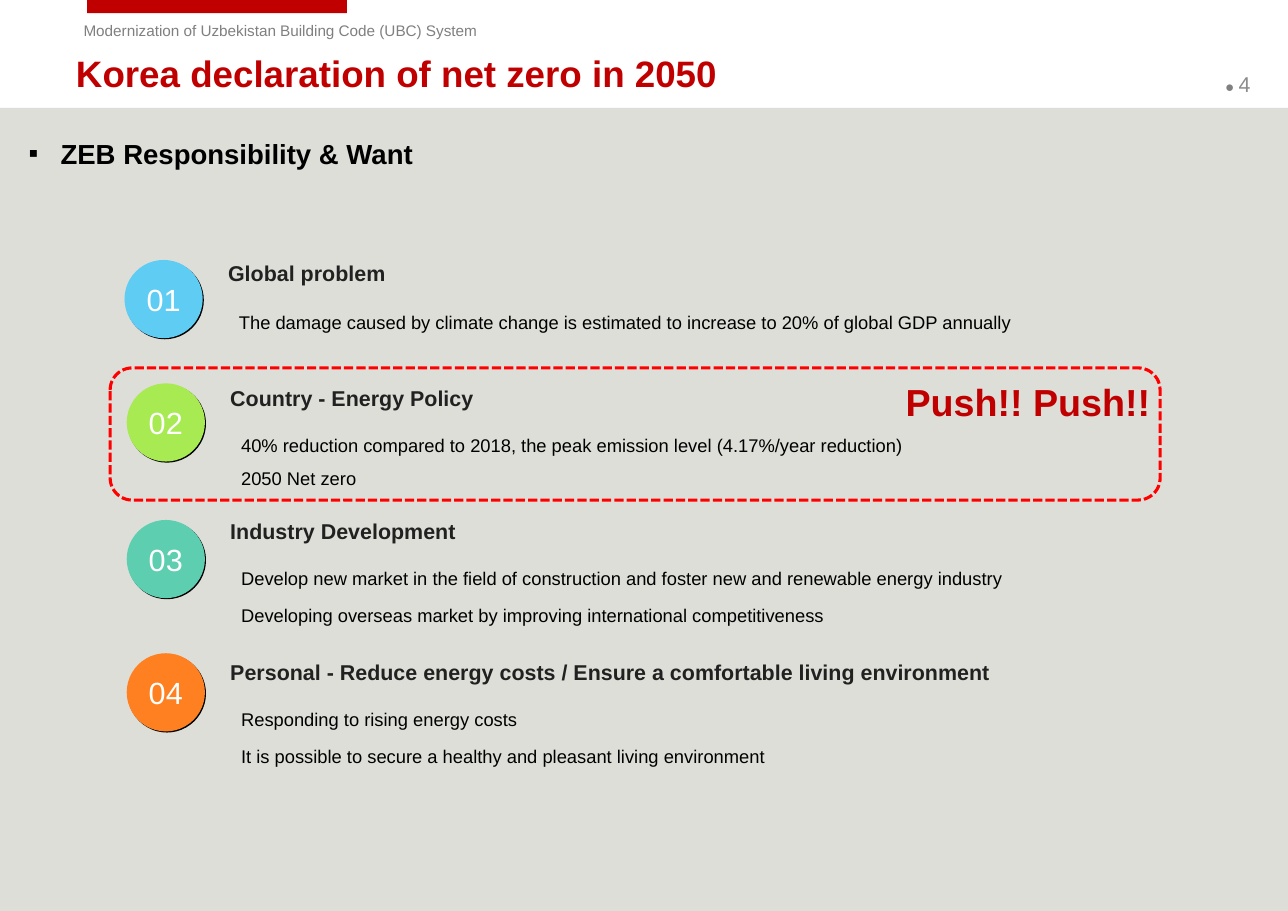
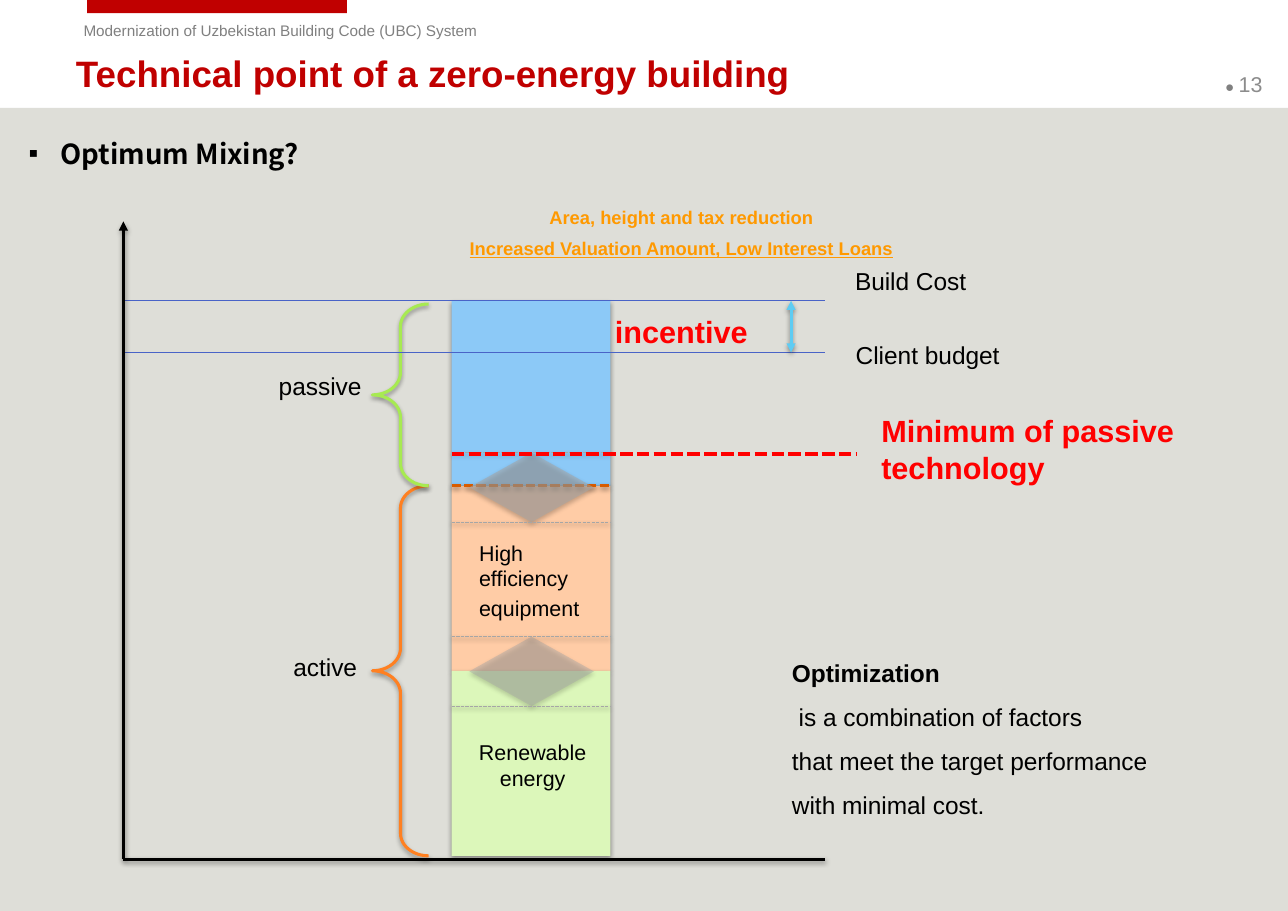
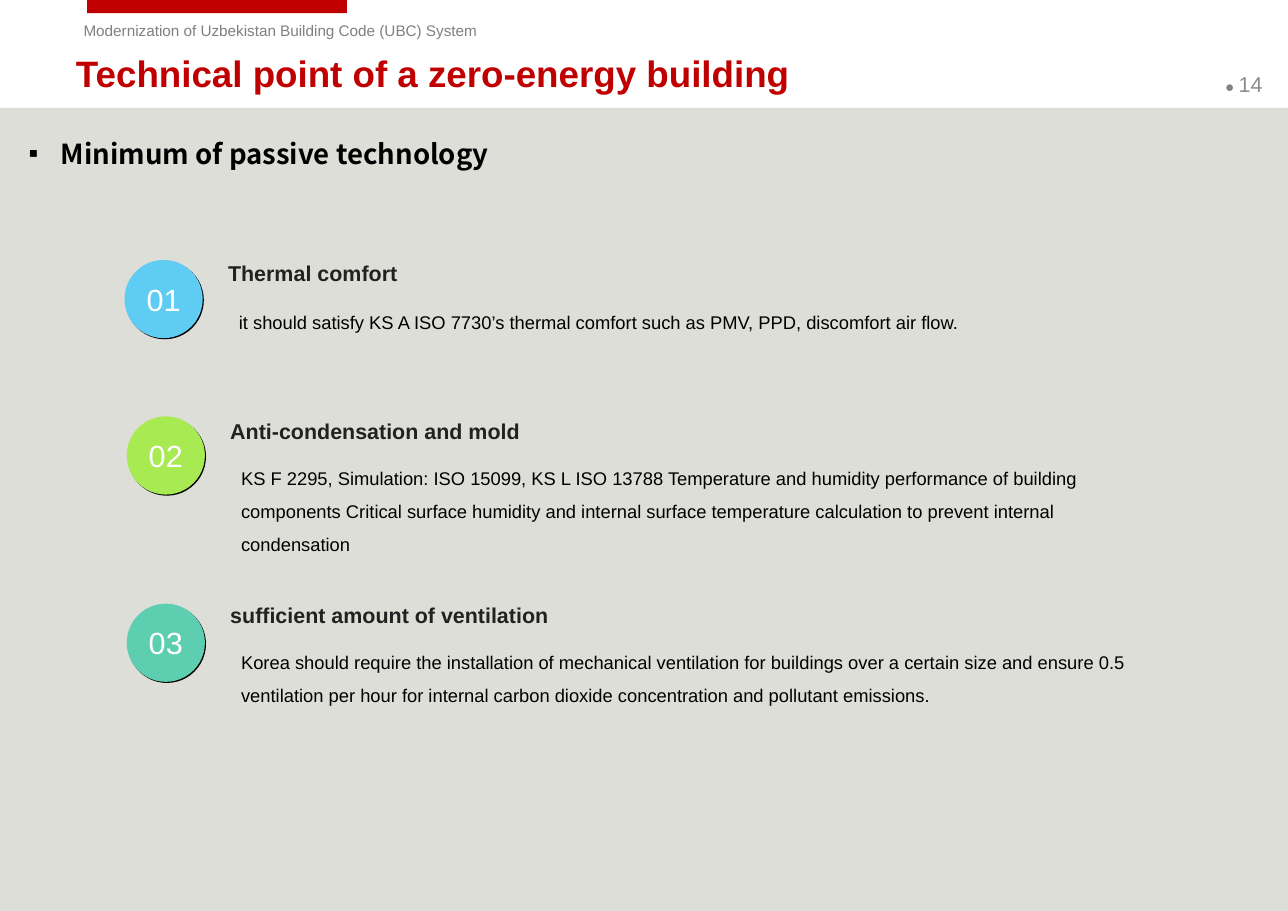
import dataclasses
import typing

import lxml.etree
import pptx
import pptx.dml.color
import pptx.enum.dml
import pptx.enum.shapes
import pptx.enum.text
import pptx.oxml.ns
import pptx.util

UNIT = pptx.util.Inches(0.1)
COLUMNS, ROWS = 116.9, 82.7
FONT = "Arial"
COLORS = {
    "backdrop": "DEDED8", "brand": "C00000", "muted": "808080", "page": "8C8C8C",
    "black": "000000", "white": "FFFFFF", "heading": "212121", "alert": "FF0000",
    "sky": "5ECCF3", "lime": "A7EA52", "mint": "5DCEAF", "orange": "FF8021",
    "passive": "8CC9F7", "equipment": "FFCCA6", "renewable": "DCF7BA",
    "limit": "4963C7", "boundary": "D85C00", "gray": "A6A6A6", "benefit": "FF9900",
}
BADGE_COLORS = ("sky", "lime", "mint", "orange")
SHAPES = pptx.enum.shapes.MSO_SHAPE
ALIGN = pptx.enum.text.PP_ALIGN
ANCHOR = pptx.enum.text.MSO_ANCHOR
PLACEHOLDER_INSETS = (1.1, 0.6)


class Box(typing.NamedTuple):
    left: float
    top: float
    width: float
    height: float


@dataclasses.dataclass(frozen=True)
class Topic:
    heading: str
    details: tuple[str, ...]
    badge_top: float
    heading_top: float
    left: float = 11.5
    detail_gap: float = 3
    spacing: float = 1.5


@dataclasses.dataclass(frozen=True)
class Caption:
    lines: tuple[str, ...]
    box: Box
    style: dict[str, typing.Any]


def grid(*lengths: float) -> list[int]:
    return [round(length * UNIT) for length in lengths]


def rgb(color: str) -> pptx.dml.color.RGBColor:
    return pptx.dml.color.RGBColor.from_string(COLORS[color])


def add_element(parent, tag: str, **attributes: str):
    return lxml.etree.SubElement(parent, pptx.oxml.ns.qn(tag), attributes)


def add_run(paragraph, text: str, size: float, color: str, bold: bool = False,
            font: str = FONT, underline: bool = False) -> None:
    run = paragraph.add_run()
    run.text = text
    run.font.size = pptx.util.Pt(size)
    run.font.name = font
    run.font.bold = bold
    run.font.underline = underline
    run.font.color.rgb = rgb(color)


def write(shape, *paragraphs: str, size: float, color: str = "black",
          align=ALIGN.LEFT, anchor=ANCHOR.TOP, insets: tuple[float, float] = (1, 0.5),
          wrap: bool = True, spacing: float = 1, before: float = 0,
          bullet: str = "", **run_style):
    frame = shape.text_frame
    frame.word_wrap = wrap
    frame.auto_size = pptx.enum.text.MSO_AUTO_SIZE.NONE
    frame.vertical_anchor = anchor
    across, down = grid(*insets)
    frame.margin_left = frame.margin_right = across
    frame.margin_top = frame.margin_bottom = down
    for index, text in enumerate(paragraphs):
        paragraph = frame.add_paragraph() if index else frame.paragraphs[0]
        paragraph.alignment = align
        paragraph.line_spacing = spacing
        if index and before:
            paragraph.space_before = pptx.util.Pt(size * before)
        if bullet:
            properties = paragraph._p.get_or_add_pPr()
            indent = grid(2.9)[0]
            properties.set("marL", str(indent))
            properties.set("indent", str(-indent))
            add_element(properties, "a:buFont", typeface=FONT)
            add_element(properties, "a:buChar", char=bullet)
        for number, line in enumerate(text.split("\n")):
            if number:
                paragraph.add_line_break()
            add_run(paragraph, line, size, color, **run_style)
    return frame


def add_label(slide, box: Box, *paragraphs: str, **style):
    return write(slide.shapes.add_textbox(*grid(*box)), *paragraphs, **style)


def cast_shadow(effects) -> None:
    shadow = add_element(effects, "a:outerShdw", blurRad=str(pptx.util.Pt(3.1)),
                         dist=str(pptx.util.Pt(1.6)), dir="5400000", rotWithShape="0")
    tint = add_element(shadow, "a:srgbClr", val=COLORS["black"])
    add_element(tint, "a:alpha", val="38000")


def style_line(line, color: str, width: float, dashed: bool = False) -> None:
    line.color.rgb = rgb(color)
    line.width = pptx.util.Pt(width)
    if dashed:
        line.dash_style = pptx.enum.dml.MSO_LINE.SQUARE_DOT


def add_figure(slide, kind, box: Box, fill: str = "", opacity: int = 100,
               outline: str = "", dashed: bool = False, shadow: bool = False,
               adjustments: tuple[float, ...] = ()):
    figure = slide.shapes.add_shape(kind, *grid(*box))
    for index, value in enumerate(adjustments):
        figure.adjustments[index] = value
    properties = figure.element.spPr
    if fill:
        figure.fill.solid()
        figure.fill.fore_color.rgb = rgb(fill)
        if opacity < 100:
            tint = properties.find(".//" + pptx.oxml.ns.qn("a:srgbClr"))
            add_element(tint, "a:alpha", val=str(opacity * 1000))
    else:
        figure.fill.background()
    if outline:
        style_line(figure.line, outline, 2, dashed)
    else:
        figure.line.fill.background()
    figure.shadow.inherit = False
    if shadow:
        cast_shadow(properties.find(pptx.oxml.ns.qn("a:effectLst")))
    return figure


def add_rule(slide, start: tuple[float, float], end: tuple[float, float], color: str,
             width: float, dashed: bool = False, arrows: tuple[str, ...] = (),
             shadow: bool = True) -> None:
    rule = slide.shapes.add_connector(pptx.enum.shapes.MSO_CONNECTOR.STRAIGHT,
                                      *grid(*start, *end))
    style_line(rule.line, color, width, dashed)
    properties = rule.element.spPr
    stroke = properties.find(pptx.oxml.ns.qn("a:ln"))
    for arrow in arrows:
        add_element(stroke, arrow, type="triangle")
    effects = add_element(properties, "a:effectLst")
    if shadow:
        cast_shadow(effects)


def add_page(deck, title: str, subtitle: str, page: int, subtitle_font: str):
    slide = deck.slides.add_slide(deck.slide_layouts.get_by_name("Title Only"))
    heading = slide.shapes.title
    heading.left, heading.top, heading.width, heading.height = grid(5.8, 4.65, 104.2, 4)
    write(heading, title, size=24, color="brand", bold=True,
          anchor=ANCHOR.MIDDLE, insets=PLACEHOLDER_INSETS)
    add_figure(slide, SHAPES.RECTANGLE, Box(0, 9.8, COLUMNS, ROWS - 9.8), "backdrop")
    add_figure(slide, SHAPES.RECTANGLE, Box(7.9, 0, 23.6, 1.2), "brand")
    add_label(slide, Box(6.6, 1.4, 46.8, 2.7),
              "Modernization of Uzbekistan Building Code (UBC) System",
              size=10, color="muted")
    footer = add_label(slide, Box(110.1, 5.4, 6.9, 4.4), "● ", size=10, color="muted",
                       anchor=ANCHOR.MIDDLE, insets=PLACEHOLDER_INSETS)
    add_run(footer.paragraphs[0], str(page), 14, "page")
    add_label(slide, Box(1.5, 11.8, 113.8, 6.1), subtitle, size=18, bold=True,
              font=subtitle_font, bullet="▪", insets=PLACEHOLDER_INSETS)
    return slide


def add_topics(slide, topics: tuple[Topic, ...]) -> None:
    diameter, offset = 7.1, 0.1
    for number, (topic, color) in enumerate(zip(topics, BADGE_COLORS), 1):
        add_figure(slide, SHAPES.OVAL, Box(topic.left + offset, topic.badge_top + offset,
                                           diameter, diameter), "black")
        badge = add_figure(slide, SHAPES.OVAL,
                           Box(topic.left, topic.badge_top, diameter, diameter), color)
        write(badge, f"{number:02}", size=20, color="white", align=ALIGN.CENTER,
              anchor=ANCHOR.MIDDLE, insets=(0, 0.5))
        text_left = topic.left + 9.4
        add_label(slide, Box(text_left, topic.heading_top, 70, 2.4), topic.heading,
                  size=14, color="heading", bold=True, anchor=ANCHOR.MIDDLE,
                  insets=(0, 0), wrap=False)
        add_label(slide, Box(text_left, topic.heading_top + topic.detail_gap, 84, 6.5),
                  *topic.details, size=12, spacing=topic.spacing, before=0.2)


def add_declaration(deck) -> None:
    slide = add_page(deck, "Korea declaration of net zero in 2050",
                     "ZEB Responsibility & Want", 4, FONT)
    add_topics(slide, (
        Topic("Global problem",
              ("The damage caused by climate change is estimated to increase to 20% of "
               "global GDP annually",), 23.6, 23.6, 11.3, 4.2, 1),
        Topic("Country - Energy Policy",
              ("40% reduction compared to 2018, the peak emission level "
               "(4.17%/year reduction)\n2050 Net zero",), 34.8, 34.9),
        Topic("Industry Development",
              ("Develop new market in the field of construction and foster new and "
               "renewable energy industry",
               "Developing overseas market by improving international competitiveness"),
              47.2, 47),
        Topic("Personal - Reduce energy costs / Ensure a comfortable living environment",
              ("Responding to rising energy costs",
               "It is possible to secure a healthy and pleasant living environment"),
              59.3, 59.8),
    ))
    add_figure(slide, SHAPES.ROUNDED_RECTANGLE, Box(10, 33.4, 95.3, 12),
               outline="alert", dashed=True)
    add_label(slide, Box(82.2, 34.4, 22.4, 4.1), "Push!! Push!!", size=24.6,
              color="brand", bold=True, anchor=ANCHOR.MIDDLE, insets=(0, 0), wrap=False)


def add_mixing(deck) -> None:
    slide = add_page(deck, "Technical point of a zero-energy building",
                     "Optimum Mixing?", 13, "Noto Sans CJK KR")
    axis_left, axis_right, axis_bottom = 11.2, 74.9, 78
    bar_left, bar_width, build_cost, segment = 41, 14.4, 27.3, 16.8
    bar_right = bar_left + bar_width
    client_budget, passive_minimum = 32, 41.2
    passive_end = build_cost + segment

    add_rule(slide, (axis_left, axis_bottom), (axis_right, axis_bottom), "black", 2)
    for index, part in enumerate(("passive", "equipment", "renewable")):
        add_figure(slide, SHAPES.RECTANGLE,
                   Box(bar_left, build_cost + index * segment, bar_width, segment),
                   part, shadow=True)
    for top, height, color in ((passive_end, 2 * segment, "orange"),
                               (build_cost + 0.3, segment - 0.3, "lime")):
        add_figure(slide, SHAPES.LEFT_BRACE, Box(33.8, top, 5.1, height), outline=color,
                   shadow=True, adjustments=(0.4, 0.5))
    for level in (build_cost, client_budget):
        add_rule(slide, (axis_left, level), (axis_right, level), "limit", 0.75,
                 shadow=False)
    add_rule(slide, (axis_left, 20.1), (axis_left, axis_bottom), "black", 2,
             arrows=("a:headEnd",))
    add_rule(slide, (71.8, build_cost), (71.8, client_budget), "sky", 2,
             arrows=("a:headEnd", "a:tailEnd"))
    add_rule(slide, (bar_left, passive_end), (bar_right, passive_end), "boundary", 2,
             dashed=True)
    swing = 6.3
    for top, opacity in ((41.1, 57), (57.8, 44)):
        add_figure(slide, SHAPES.UP_DOWN_ARROW, Box(42.6, top, 11.3, swing), "gray",
                   opacity, shadow=True, adjustments=(0.51, 0.39))
        for level in (top, top + swing):
            add_rule(slide, (bar_left, level), (bar_right, level), "gray", 0.75,
                     dashed=True)
    add_rule(slide, (bar_left, passive_minimum), (77.8, passive_minimum), "alert", 2.75,
             dashed=True, shadow=False)

    side = {"size": 16, "align": ALIGN.RIGHT}
    limit = {"size": 16, "align": ALIGN.CENTER}
    alert = {"size": 20, "color": "alert", "bold": True}
    benefit = {"size": 12, "color": "benefit", "bold": True, "align": ALIGN.CENTER}
    captions = (
        Caption(("passive",), Box(14.3, 33.2, 19.5, 3.7), side),
        Caption(("active",), Box(13.9, 58.7, 19.5, 3.7), side),
        Caption(("Minimum of passive technology",), Box(79, 36.9, 31.8, 7.7), alert),
        Caption(("Renewable", "energy"), Box(41.1, 66.6, 14.5, 5.7),
                {"size": 14, "align": ALIGN.CENTER}),
        Caption(("High efficiency", "equipment"), Box(42.5, 48.5, 12.4, 8.5),
                {"size": 14, "before": 0.2}),
        Caption(("Build Cost",), Box(72.9, 23.7, 19.5, 3.7), limit),
        Caption(("incentive",), Box(53.8, 27.9, 16.1, 4.4),
                alert | {"align": ALIGN.CENTER}),
        Caption(("Client budget",), Box(71.8, 30.4, 24.8, 3.7), limit),
        Caption(("Area, height and tax reduction",), Box(36.4, 18.2, 50.9, 3), benefit),
        Caption(("Increased Valuation Amount, Low Interest Loans",),
                Box(36.4, 21, 50.9, 3), benefit | {"underline": True}),
    )
    for caption in captions:
        add_label(slide, caption.box, *caption.lines, **caption.style)
    summary = add_label(slide, Box(70.9, 57.9, 45, 16.7), "Optimization",
                        " is a combination of factors", "that meet the target performance",
                        "with minimal cost.", size=16, spacing=1.5)
    summary.paragraphs[0].runs[0].font.bold = True


def add_minimum(deck) -> None:
    slide = add_page(deck, "Technical point of a zero-energy building",
                     "Minimum of passive technology", 14, "Noto Sans CJK KR")
    add_topics(slide, (
        Topic("Thermal comfort",
              ("it should satisfy KS A ISO 7730’s thermal comfort such as PMV, PPD, "
               "discomfort air flow.",), 23.6, 23.6, 11.3, 4.2, 1),
        Topic("Anti-condensation and mold",
              ("KS F 2295, Simulation: ISO 15099, KS L ISO 13788 Temperature and humidity "
               "performance of building components Critical surface humidity and internal "
               "surface temperature calculation to prevent internal condensation",),
              37.8, 37.9),
        Topic("sufficient amount of ventilation",
              ("Korea should require the installation of mechanical ventilation for "
               "buildings over a certain size and ensure 0.5 ventilation per hour for "
               "internal carbon dioxide concentration and pollutant emissions.",),
              54.8, 54.6),
    ))


def main() -> None:
    deck = pptx.Presentation()
    deck.slide_width, deck.slide_height = grid(COLUMNS, ROWS)
    add_declaration(deck)
    add_mixing(deck)
    add_minimum(deck)
    deck.save("out.pptx")


if __name__ == "__main__":
    main()
